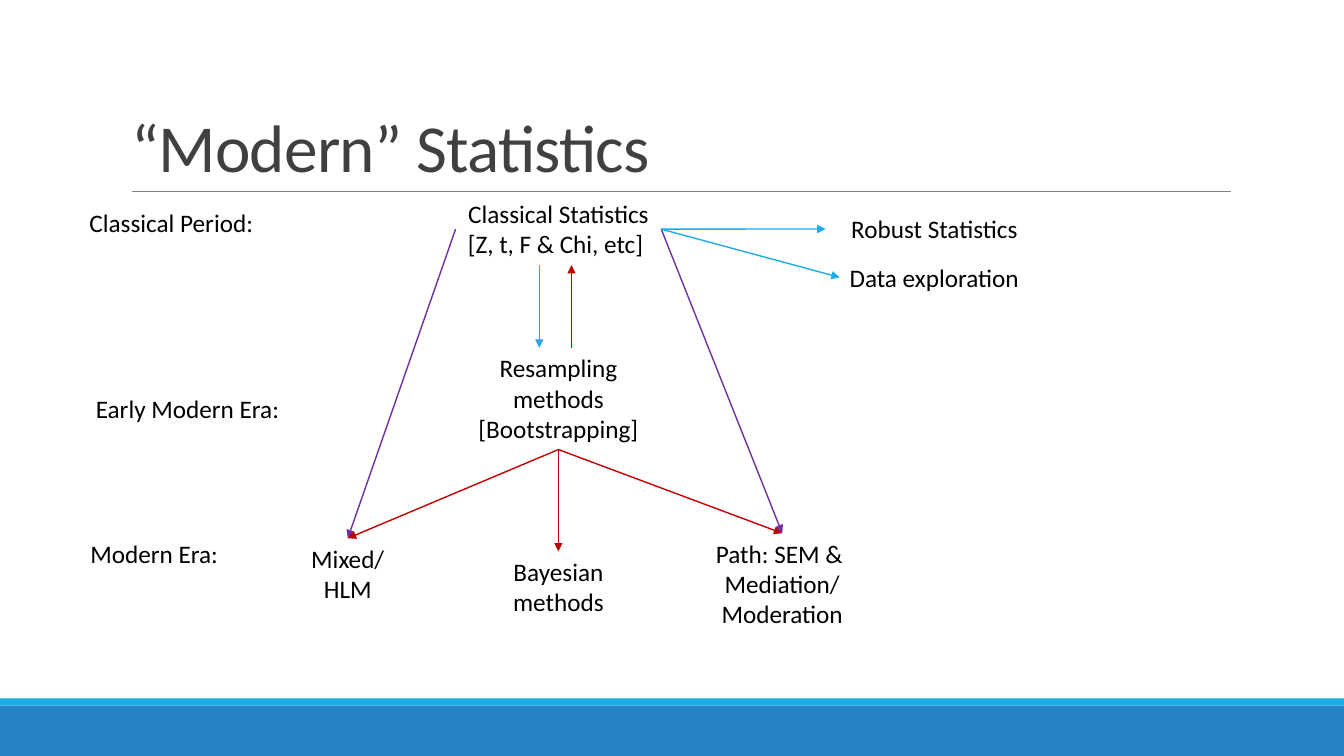
from pptx import Presentation
from pptx.dml.color import RGBColor as RGB
from pptx.enum.shapes import MSO_CONNECTOR as Conn, MSO_SHAPE as Form
from pptx.enum.text import MSO_ANCHOR as Anchor, MSO_AUTO_SIZE as Fit, PP_ALIGN as Align
from pptx.oxml.ns import qn
from pptx.util import Inches, Pt
from lxml.etree import SubElement as Sub

THEME = dict(font="Calibri", head=48, body=18,
             black="000000", dark="404040", gray="808080",
             sky="1CADE4", blue="2683C6", red="C00000", plum="7030A0")

# Square grid: 80 columns by 45 rows
deck = Presentation()
deck.slide_width, deck.slide_height = Inches(13.333), Inches(7.5)
unit = deck.slide_height / 45
slide = deck.slides.add_slide(deck.slide_layouts[5])
shapes = slide.shapes


def grid(*cells):
    return [round(cell * unit) for cell in cells]


def draw_line(ends, color, width=1, arrow=True):
    line = shapes.add_connector(Conn.STRAIGHT, *grid(*ends))
    line.line.color.rgb = RGB.from_string(THEME[color])
    line.line.width = Pt(width)
    props = line._element.spPr
    if arrow:
        Sub(props.find(qn("a:ln")), qn("a:tailEnd"), type="triangle")
    Sub(props, qn("a:effectLst"))
    return line


# Footer bars
for top, high, color in [(42, 3, "blue"), (41.58, 0.42, "sky")]:
    bar = shapes.add_shape(Form.RECTANGLE, *grid(0, top, 80, high))
    bar.shadow.inherit = False
    bar.fill.solid()
    bar.fill.fore_color.rgb = RGB.from_string(THEME[color])
    bar.line.fill.background()

# Title and its rule
draw_line((7.86, 11.4, 73.26, 11.4), "gray", 0.5, False)
title = shapes.title
title.left, title.top, title.width, title.height = grid(7.2, 1.86, 66, 9.54)
frame = title.text_frame
frame.text = "“Modern” Statistics"
frame.vertical_anchor = Anchor.BOTTOM
para = frame.paragraphs[0]
para.alignment = Align.LEFT
para.line_spacing = 0.85
run = para.runs[0]
run.font.name, run.font.size = THEME["font"], Pt(THEME["head"])
run.font.color.rgb = RGB.from_string(THEME["dark"])
run._r.get_or_add_rPr().set("spc", "-50")

# Labels: name, text, centre column, top row, width, number of lines
mid = 33.24
labels = [
    ("first", "Classical Period:", 10.2, 12.06, 15.24, 1),
    ("early", "Early Modern Era:", 11.16, 23.1, 15.24, 1),
    ("late", "Modern Era:", 9.18, 31.74, 15.24, 1),
    ("classic", "Classical Statistics\n[Z, t, F & Chi, etc] ", mid, 11.52, 12.24, 2),
    ("sample", "Resampling methods\n[Bootstrapping]", mid, 20.7, 10.92, 3),
    ("mixed", "Mixed/HLM", 20.7, 32.04, 5.88, 2),
    ("bayes", "Bayesian methods", mid, 32.82, 9.78, 2),
    ("paths", "Path: SEM & \nMediation/\nModeration", 46.56, 31.74, 16.8, 3),
    ("robust", "Robust Statistics", 55.62, 12.42, 12.96, 1),
    ("data", "Data exploration", 55.68, 15.3, 11.4, 1),
]
boxes = {}
for name, text, center, top, wide, lines in labels:
    high = 0.6 + 1.82 * lines
    box = shapes.add_textbox(*grid(center - wide / 2, top, wide, high))
    frame = box.text_frame
    frame.text = text
    frame.word_wrap = name != "data"
    frame.auto_size = Fit.SHAPE_TO_FIT_TEXT
    for para in frame.paragraphs:
        para.alignment = Align.LEFT if name == "data" else Align.CENTER
        for run in para.runs:
            run.font.name, run.font.size = THEME["font"], Pt(THEME["body"])
            run.font.color.rgb = RGB.from_string(THEME["black"])
    boxes[name] = box

# Arrows joined to the labels (0 top, 1 left, 2 bottom, 3 right)
links = [
    ("classic", 1, "mixed", 0, "plum"),
    ("sample", 2, "mixed", 0, "red"),
    ("sample", 2, "bayes", 0, "red"),
    ("sample", 2, "paths", 0, "red"),
    ("classic", 3, "paths", 0, "plum"),
    ("classic", 3, "robust", 1, "sky"),
    ("classic", 3, "data", 1, "sky"),
]
for start, out, end, into, color in links:
    link = draw_line((0, 0, 1, 1), color)
    link.begin_connect(boxes[start], out)
    link.end_connect(boxes[end], into)

# Exchange between classical and resampling methods
for col, top, end, color in [(32.1, 15.78, 20.7, "sky"), (34.02, 20.7, 15.78, "red")]:
    draw_line((col, top, col, end), color)

deck.save("out.pptx")
